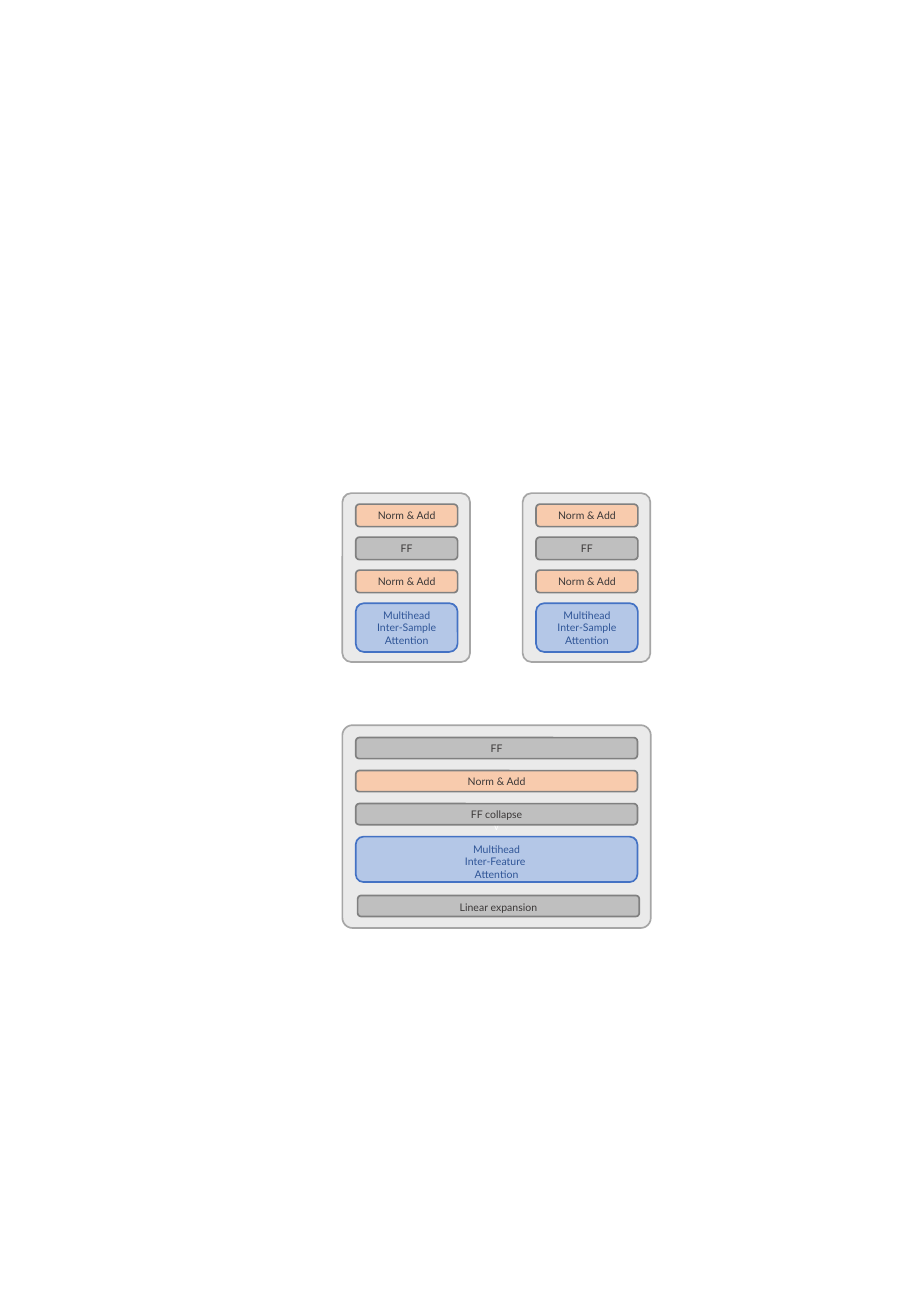
import pptx
import pptx.util
import pptx.dml.color
import pptx.enum.shapes
import pptx.enum.text

Cm = pptx.util.Cm
Pt = pptx.util.Pt

COLORS = {
    "panel": "EAEAEA",
    "panel_line": "A6A6A6",
    "attention": "B4C7E7",
    "attention_line": "4472C4",
    "attention_text": "2F5597",
    "norm": "F8CBAD",
    "ff": "BFBFBF",
    "layer_line": "808080",
    "layer_text": "3B3838",
    "white": "FFFFFF",
}
STYLES = {
    "attention": ("attention", "attention_line", "attention_text"),
    "norm": ("norm", "layer_line", "layer_text"),
    "ff": ("ff", "layer_line", "layer_text"),
}
ROW_STEP = 0.69
PANEL_LEFT = 7.16
PANEL_PADDING = 0.28
SAMPLE_LAYERS = [("Norm & Add", "norm"), ("FF", "ff"), ("Norm & Add", "norm")]
FEATURE_LAYERS = [("FF", "ff"), ("Norm & Add", "norm"), ("FF collapse", "ff")]


def rgb(name):
    return pptx.dml.color.RGBColor.from_string(COLORS[name])


def add_text(sp, text, font="Lato", size=6.2, color="layer_text",
             margin_side=0, margin_top=0):
    tf = sp.text_frame
    tf.word_wrap = True
    tf.vertical_anchor = pptx.enum.text.MSO_ANCHOR.MIDDLE
    tf.margin_left = tf.margin_right = Cm(margin_side)
    tf.margin_top, tf.margin_bottom = Cm(margin_top), 0
    for i, line in enumerate(text.split("\n")):
        p = tf.add_paragraph() if i else tf.paragraphs[0]
        p.alignment = pptx.enum.text.PP_ALIGN.CENTER
        r = p.add_run()
        r.text = line
        r.font.name = font
        r.font.size = Pt(size)
        r.font.color.rgb = rgb(color)


def add_box(group, left, top, width, height, fill, line, radius=0.17):
    sp = group.shapes.add_shape(
        pptx.enum.shapes.MSO_SHAPE.ROUNDED_RECTANGLE,
        Cm(left), Cm(top), Cm(width), Cm(height))
    sp.adjustments[0] = radius
    sp.shadow.inherit = False
    sp.fill.solid()
    sp.fill.fore_color.rgb = rgb(fill)
    sp.line.color.rgb = rgb(line)
    sp.line.width = Pt(1)
    return sp


def add_layer(group, text, style, left, top, width, height, **text_format):
    fill, line, color = STYLES[style]
    sp = add_box(group, left, top, width, height, fill, line)
    add_text(sp, text, color=color, **text_format)


def add_stack(group, layers, left, top, width, height):
    for i, (text, style) in enumerate(layers):
        add_layer(group, text, style, left, top + i * ROW_STEP, width, height)
    return top + len(layers) * ROW_STEP


def add_sample_block(slide, panel_left):
    group = slide.shapes.add_group_shape()
    add_box(group, panel_left, 10.31, 2.67, 3.53, "panel", "panel_line", 0.07)
    left = panel_left + PANEL_PADDING
    top = add_stack(group, SAMPLE_LAYERS, left, 10.54, 2.13, 0.47)
    add_layer(group, "Multihead\nInter-Sample Attention", "attention",
              left, top, 2.13, 1.02, margin_side=0.25)


def add_feature_block(slide):
    group = slide.shapes.add_group_shape()
    panel = add_box(group, PANEL_LEFT, 15.16, 6.45, 4.24,
                    "panel", "panel_line", 0.05)
    add_text(panel, "v", font="Calibri", color="white")
    left = PANEL_LEFT + PANEL_PADDING
    top = add_stack(group, FEATURE_LAYERS, left, 15.42, 5.89, 0.44)
    add_layer(group, "Multihead\nInter-Feature \nAttention", "attention",
              left, top, 5.89, 0.95, margin_top=0.1)
    add_layer(group, "Linear expansion", "ff", left + 0.04, 18.72, 5.89, 0.44,
              margin_top=0.05)


def main():
    prs = pptx.Presentation()
    prs.slide_width, prs.slide_height = Cm(19.05), Cm(27.51)
    slide = prs.slides.add_slide(prs.slide_layouts[6])
    add_sample_block(slide, PANEL_LEFT)
    add_feature_block(slide)
    add_sample_block(slide, 10.93)
    prs.save("out.pptx")


if __name__ == "__main__":
    main()
